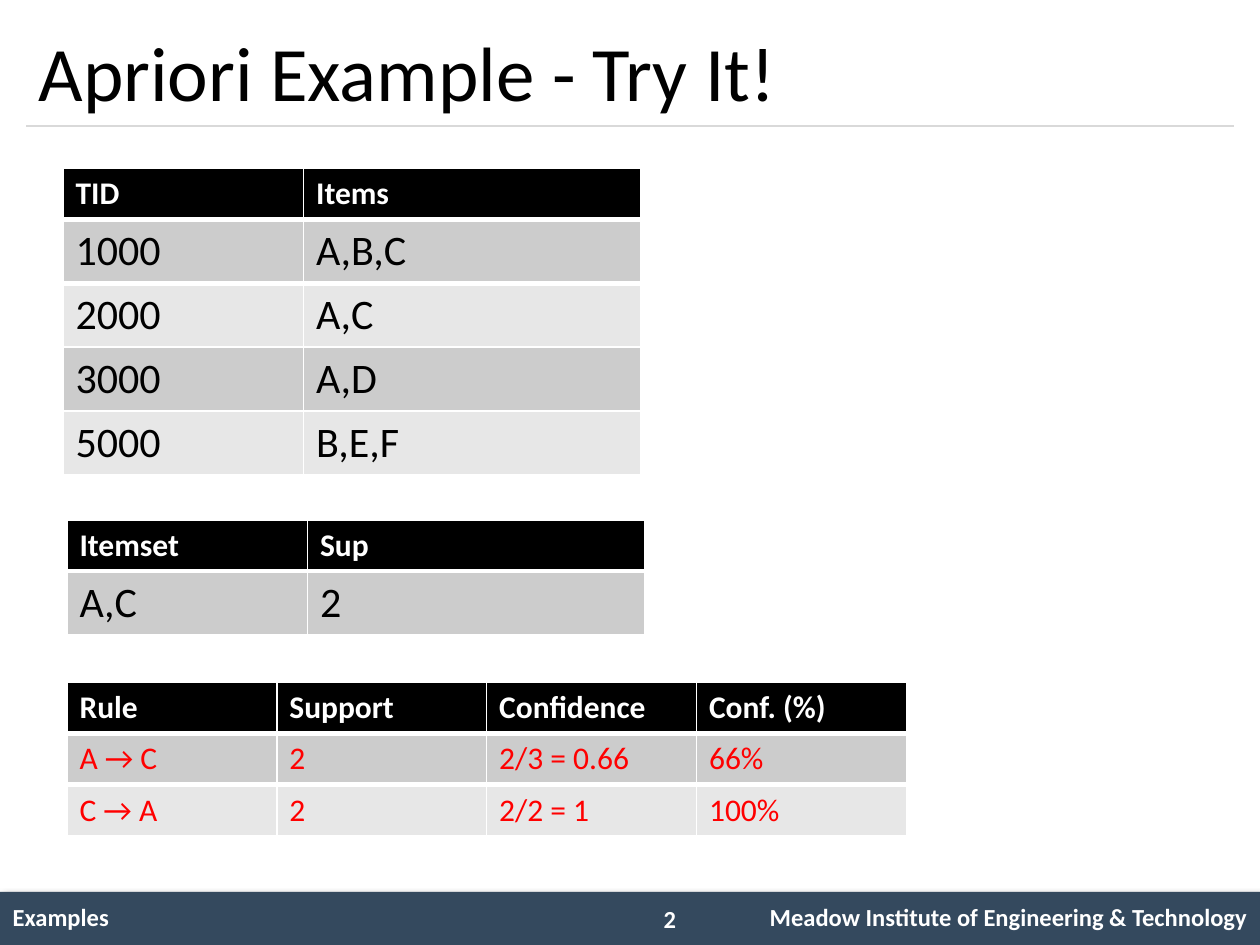
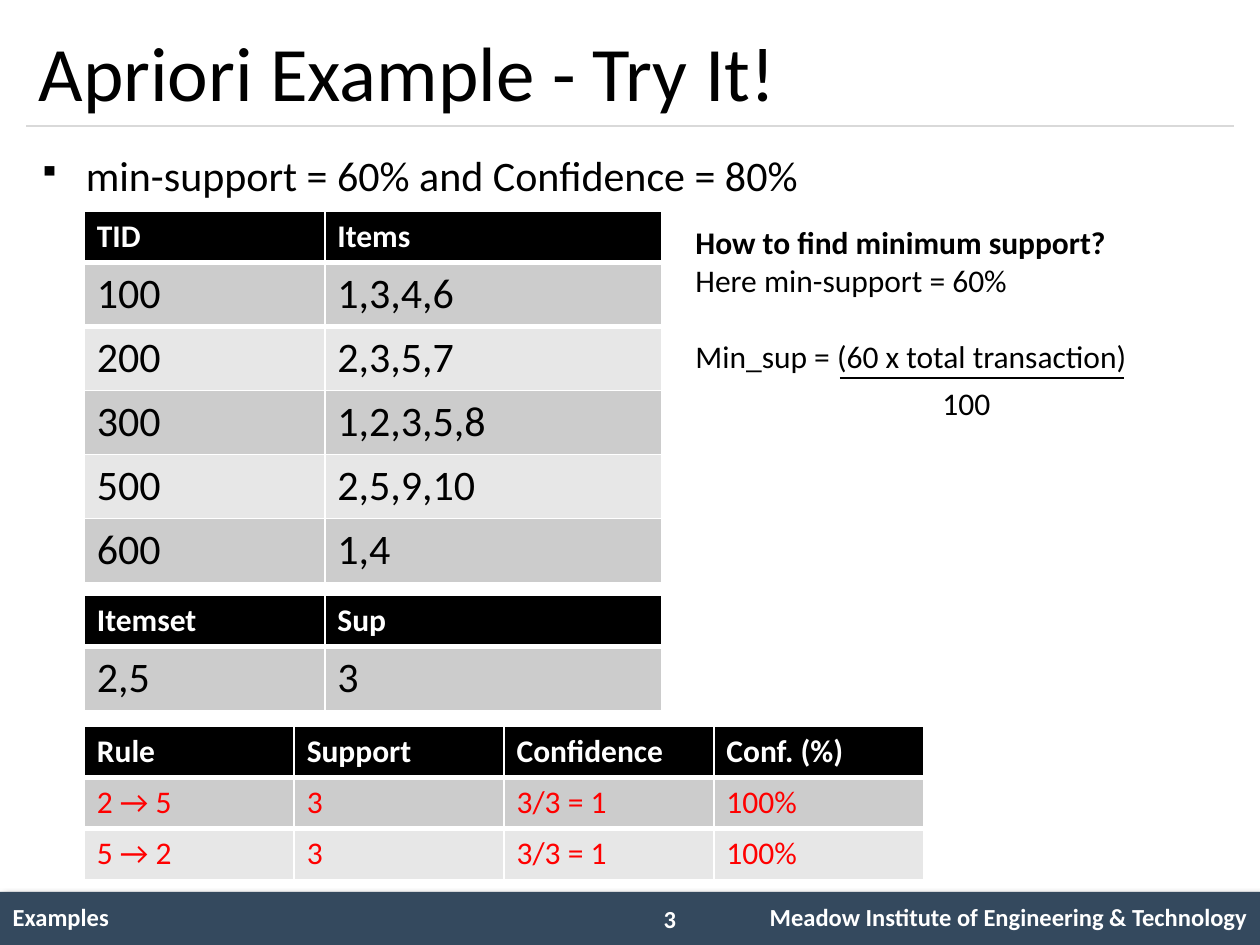
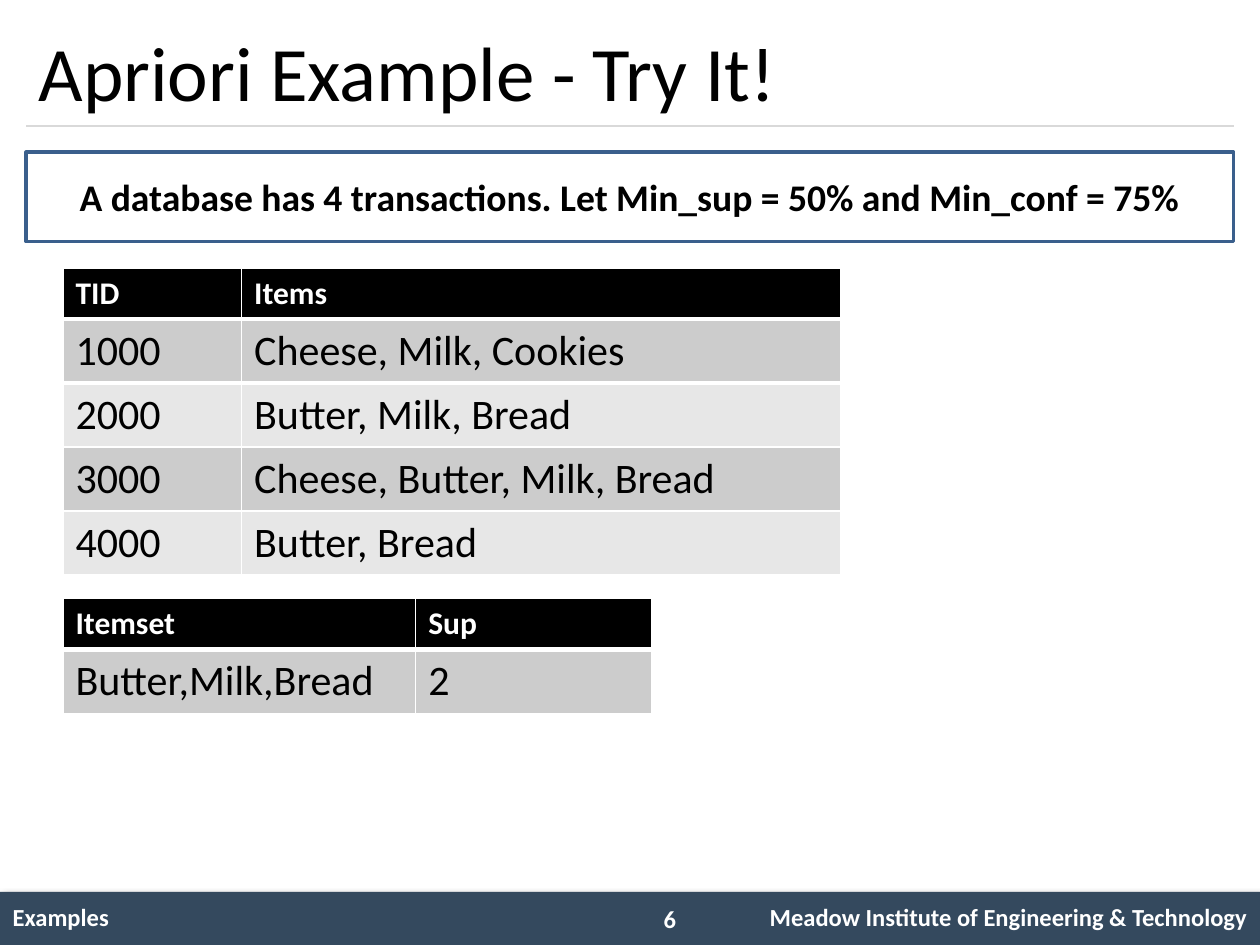
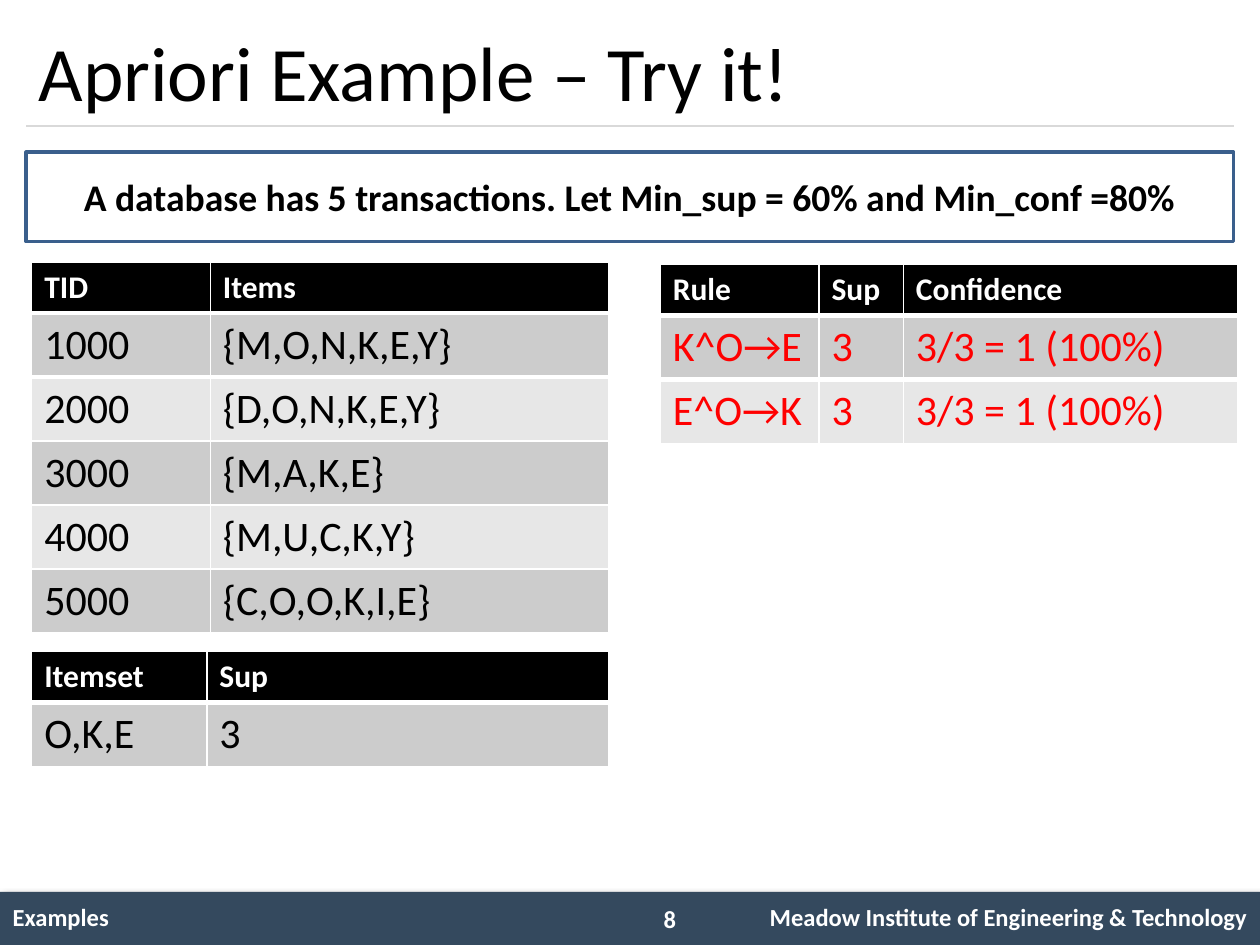
from dataclasses import dataclass

from lxml import etree
from pptx import Presentation
from pptx.dml.color import RGBColor
from pptx.enum.shapes import MSO_CONNECTOR, MSO_SHAPE
from pptx.enum.text import MSO_ANCHOR as Anchor, PP_ALIGN as Align
from pptx.oxml.ns import qn
from pptx.util import Cm, Pt


@dataclass(frozen=True)
class Theme:
    font: str = "Calibri"
    black: str = "000000"
    white: str = "FFFFFF"
    red: str = "FF0000"
    band: str = "34495E"
    rule: str = "D9D9D9"
    frame: str = "3A5F8C"
    row_fills: tuple = ("CCCCCC", "E7E7E7")
    title_size: float = 44
    large_size: float = 24
    statement_size: float = 21.5
    text_size: float = 18
    footer_size: float = 14


THEME = Theme()

# Lengths in centimetres
SLIDE_WIDTH, SLIDE_HEIGHT = 25.4, 19.05
MARGIN = 0.53
CONTENT_WIDTH = SLIDE_WIDTH - 2 * MARGIN
FOOTER_TOP, FOOTER_COLUMNS = 17.98, (12.9, 1.7, 10.8)
HEADER_HEIGHT = 1.03
BODY_HEIGHTS = {THEME.large_size: 1.29, THEME.text_size: 1.03}
NO_GRID_STYLE = "{2D5ABB26-0587-4C30-8999-92F81FD0307C}"

# Content
FOOTER = ("Examples", "Meadow Institute of Engineering & Technology")
TRANSACTION_HEADER = ("TID", "Items")
ITEMSET_HEADER = ("Itemset", "Sup")
RULE_HEADER = ("Rule", "Support", "Confidence", "Conf. (%)")
PAIR_COLUMNS = (4.85, 6.8)
RULE_COLUMNS = (4.23,) * 4
RULE_STYLE = {"size": THEME.text_size, "color": THEME.red}

SLIDES = [
    {
        "number": 2,
        "title": "Apriori Example - Try It!",
        "tables": [
            {"at": (1.27, 3.39), "columns": PAIR_COLUMNS, "rows": [
                TRANSACTION_HEADER, ("1000", "A,B,C"), ("2000", "A,C"),
                ("3000", "A,D"), ("5000", "B,E,F")]},
            {"at": (1.35, 10.48), "columns": PAIR_COLUMNS,
             "rows": [ITEMSET_HEADER, ("A,C", "2")]},
            {"at": (1.35, 13.76), "columns": RULE_COLUMNS, **RULE_STYLE, "rows": [
                RULE_HEADER, ("A → C", "2", "2/3 = 0.66", "66%"),
                ("C → A", "2", "2/2 = 1", "100%")]},
        ],
    },
    {
        "number": 3,
        "title": "Apriori Example - Try It!",
        "bullet": "min-support = 60% and Confidence = 80%",
        "tables": [
            {"at": (1.7, 4.26), "columns": PAIR_COLUMNS, "rows": [
                TRANSACTION_HEADER, ("100", "1,3,4,6"), ("200", "2,3,5,7"),
                ("300", "1,2,3,5,8"), ("500", "2,5,9,10"), ("600", "1,4")]},
            {"at": (1.7, 12), "columns": PAIR_COLUMNS,
             "rows": [ITEMSET_HEADER, ("2,5", "3")]},
            {"at": (1.7, 14.64), "columns": RULE_COLUMNS, **RULE_STYLE, "rows": [
                RULE_HEADER, ("2 → 5", "3", "3/3 = 1", "100%"),
                ("5 → 2", "3", "3/3 = 1", "100%")]},
        ],
        "formula": {
            "lines": ("How to find minimum support?", "Here min-support = 60%",
                      "Min_sup = (60 x total transaction)"),
            "divisor": "100",
        },
    },
    {
        "number": 6,
        "title": "Apriori Example - Try It!",
        "statement": "A database has 4 transactions. Let Min_sup = 50% and Min_conf = 75%",
        "tables": [
            {"at": (1.27, 5.4), "columns": (3.6, 12.07), "rows": [
                TRANSACTION_HEADER, ("1000", "Cheese, Milk, Cookies"),
                ("2000", "Butter, Milk, Bread"),
                ("3000", "Cheese, Butter, Milk, Bread"), ("4000", "Butter, Bread")]},
            {"at": (1.27, 12.06), "columns": (7.11, 4.75),
             "rows": [ITEMSET_HEADER, ("Butter,Milk,Bread", "2")]},
        ],
    },
    {
        "number": 8,
        "title": "Apriori Example – Try it!",
        "statement": "A database has 5 transactions. Let Min_sup = 60% and Min_conf =80%",
        "tables": [
            {"at": (0.64, 5.28), "columns": (3.6, 8.04), "rows": [
                TRANSACTION_HEADER, ("1000", "{M,O,N,K,E,Y}"),
                ("2000", "{D,O,N,K,E,Y}"), ("3000", "{M,A,K,E}"),
                ("4000", "{M,U,C,K,Y}"), ("5000", "{C,O,O,K,I,E}")]},
            {"at": (0.64, 13.13), "columns": (3.53, 8.11),
             "rows": [ITEMSET_HEADER, ("O,K,E", "3")]},
            {"at": (13.31, 5.33), "columns": (3.2, 1.7, 6.74), "color": THEME.red, "rows": [
                ("Rule", "Sup", "Confidence"), ("K^O→E", "3", "3/3 = 1 (100%)"),
                ("E^O→K", "3", "3/3 = 1 (100%)")]},
        ],
    },
]


# Basic parts
def rgb(color):
    return RGBColor.from_string(color)


def format_paragraph(paragraph, size, color=THEME.black, bold=False, align=Align.LEFT):
    paragraph.alignment = align
    for run in paragraph.runs:
        run.font.name = THEME.font
        run.font.size = Pt(size)
        run.font.bold = bold
        run.font.color.rgb = rgb(color)


def add_text(slide, text, box, size, anchor=Anchor.TOP, **style):
    text_frame = slide.shapes.add_textbox(*map(Cm, box)).text_frame
    text_frame.word_wrap = True
    text_frame.vertical_anchor = anchor
    text_frame.text = text
    for paragraph in text_frame.paragraphs:
        format_paragraph(paragraph, size, **style)
    return text_frame


def add_rectangle(slide, box, fill):
    shape = slide.shapes.add_shape(MSO_SHAPE.RECTANGLE, *map(Cm, box))
    shape.shadow.inherit = False
    shape.fill.solid()
    shape.fill.fore_color.rgb = rgb(fill)
    return shape


def add_rule(slide, left, right, top, color):
    line = slide.shapes.add_connector(
        MSO_CONNECTOR.STRAIGHT, Cm(left), Cm(top), Cm(right), Cm(top))
    line.line.color.rgb = rgb(color)
    line.line.width = Pt(0.75)
    etree.SubElement(line._element.spPr, qn("a:effectLst"))


def make_table(slide, at, columns, heights):
    frame = slide.shapes.add_table(
        len(heights), len(columns), *map(Cm, (*at, sum(columns), sum(heights))))
    for column, width in zip(frame.table.columns, columns):
        column.width = Cm(width)
    for row, height in zip(frame.table.rows, heights):
        row.height = Cm(height)
    return frame.table


# Parts shared by all slides
def add_band_shadow(band):
    effects = band._element.spPr.find(qn("a:effectLst"))
    shadow = etree.SubElement(effects, qn("a:outerShdw"), blurRad=str(Pt(4)),
                              dist=str(Pt(3)), dir="2700000", algn="tl", rotWithShape="0")
    color = etree.SubElement(shadow, qn("a:srgbClr"), val=THEME.black)
    etree.SubElement(color, qn("a:alpha"), val="40000")


def add_footer(slide, number):
    height = SLIDE_HEIGHT - FOOTER_TOP
    band = add_rectangle(slide, (0, FOOTER_TOP, SLIDE_WIDTH, height), THEME.band)
    band.line.fill.background()
    add_band_shadow(band)
    table = make_table(slide, (0, FOOTER_TOP), FOOTER_COLUMNS, [height])
    table.first_row = table.horz_banding = False
    table._tbl.tblPr.find(qn("a:tableStyleId")).text = NO_GRID_STYLE
    style = {"size": THEME.footer_size, "color": THEME.white, "bold": True}
    for column, text, align in zip((0, 2), FOOTER, (Align.LEFT, Align.RIGHT)):
        cell = table.cell(0, column)
        cell.vertical_anchor = Anchor.MIDDLE
        cell.text_frame.text = text
        format_paragraph(cell.text_frame.paragraphs[0], align=align, **style)
    add_text(slide, str(number), (13.13, 18.09, 1.47, 0.86), **style)


def add_title(slide, title):
    add_rule(slide, MARGIN, SLIDE_WIDTH - MARGIN, 2.54, THEME.rule)
    add_text(slide, title, (MARGIN, 0.3, CONTENT_WIDTH, 2.24),
             THEME.title_size, Anchor.MIDDLE)


# Parts of single slides
def add_thick_border(cell, side):
    line = etree.SubElement(cell._tc.get_or_add_tcPr(), qn(f"a:{side}"), w=str(Pt(3)))
    fill = etree.SubElement(line, qn("a:solidFill"))
    etree.SubElement(fill, qn("a:srgbClr"), val=THEME.white)


def add_data_table(slide, at, columns, rows, size=THEME.large_size, color=THEME.black):
    heights = [HEADER_HEIGHT] + [BODY_HEIGHTS[size]] * (len(rows) - 1)
    table = make_table(slide, at, columns, heights)
    header_borders = {0: "lnB", 1: "lnT"}
    for row, texts in enumerate(rows):
        if row == 0:
            fill, style = THEME.black, (THEME.text_size, THEME.white, True)
        else:
            fill, style = THEME.row_fills[(row - 1) % 2], (size, color)
        for column, text in enumerate(texts):
            cell = table.cell(row, column)
            if row in header_borders:
                add_thick_border(cell, header_borders[row])
            cell.fill.solid()
            cell.fill.fore_color.rgb = rgb(fill)
            cell.text_frame.text = text
            format_paragraph(cell.text_frame.paragraphs[0], *style)


def add_bullet(slide, text):
    text_frame = add_text(slide, text, (MARGIN, 2.74, CONTENT_WIDTH, 14.81), THEME.large_size)
    paragraph = text_frame.paragraphs[0]
    paragraph.line_spacing = 1.14
    paragraph.space_before = Pt(0.2 * THEME.large_size)
    properties = paragraph._p.get_or_add_pPr()
    properties.set("marL", str(Cm(0.95)))
    properties.set("indent", str(-Cm(0.95)))
    etree.SubElement(properties, qn("a:buSzPct"), val="70000")
    etree.SubElement(properties, qn("a:buChar"), char="▪")


def add_statement(slide, text):
    shape = add_rectangle(slide, (MARGIN, 3.07, CONTENT_WIDTH, 1.8), THEME.white)
    shape.line.color.rgb = rgb(THEME.frame)
    shape.line.width = Pt(2)
    shape.text_frame.word_wrap = True
    shape.text_frame.vertical_anchor = Anchor.MIDDLE
    shape.text_frame.text = text
    format_paragraph(shape.text_frame.paragraphs[0], THEME.statement_size,
                     bold=True, align=Align.CENTER)


def add_formula(slide, lines, divisor):
    text_frame = add_text(slide, "\n".join(lines), (13.77, 4.37, 9.96, 4.11), THEME.text_size)
    question, *_, fraction = text_frame.paragraphs
    question.runs[0].font.bold = True
    fraction.space_before = Pt(22)
    add_rule(slide, 16.93, 22.65, 7.62, THEME.black)
    add_text(slide, divisor, (18.75, 7.62, 2.74, 1.02), THEME.text_size)


def main():
    presentation = Presentation()
    presentation.slide_width = Cm(SLIDE_WIDTH)
    presentation.slide_height = Cm(SLIDE_HEIGHT)
    for content in SLIDES:
        slide = presentation.slides.add_slide(presentation.slide_layouts[6])
        add_footer(slide, content["number"])
        add_title(slide, content["title"])
        if "bullet" in content:
            add_bullet(slide, content["bullet"])
        if "statement" in content:
            add_statement(slide, content["statement"])
        for table in content["tables"]:
            add_data_table(slide, **table)
        if "formula" in content:
            add_formula(slide, **content["formula"])
    presentation.save("out.pptx")


if __name__ == "__main__":
    main()
